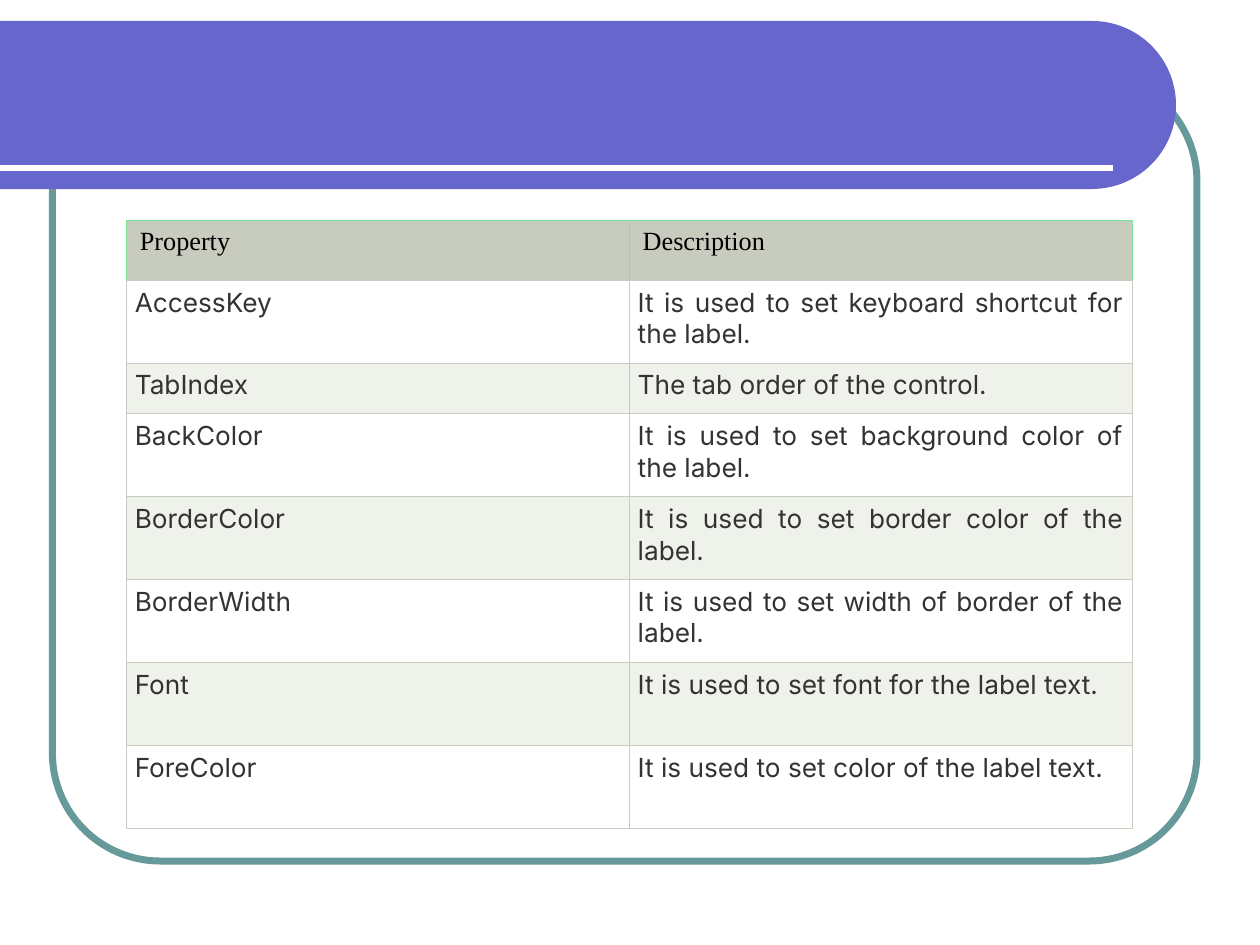
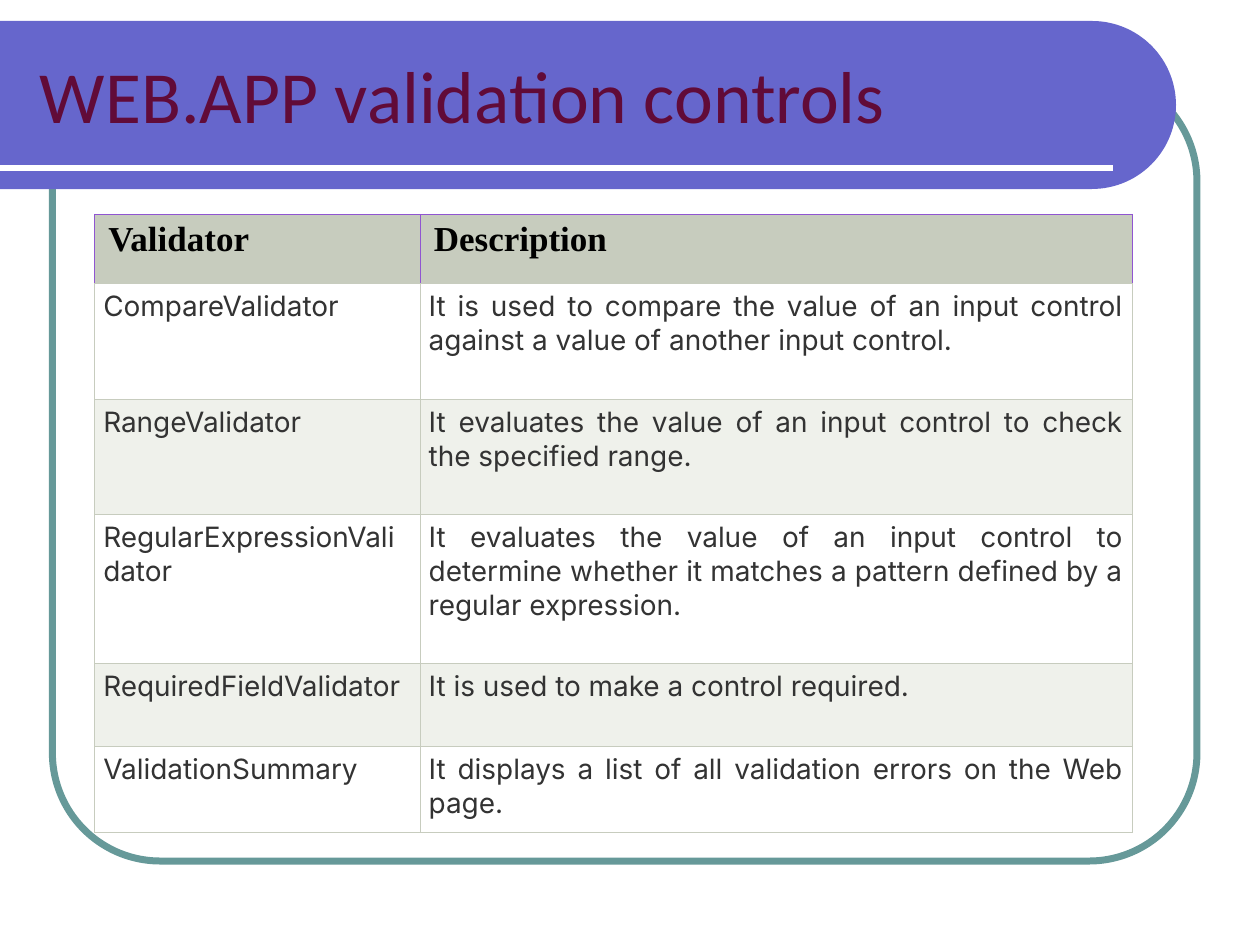
import math
from lxml import etree
from pptx import Presentation
from pptx.dml.color import RGBColor
from pptx.enum import shapes, text
from pptx.oxml import ns
from pptx.util import Inches, Pt

# Slide grid: 120 columns by 90 rows of square cells
COLUMNS, ROWS = 120, 90
CELL = Inches(10) / COLUMNS

WHITE = RGBColor(0xFF, 0xFF, 0xFF)
BLACK = RGBColor(0x00, 0x00, 0x00)
TEAL = RGBColor(0x66, 0x99, 0x99)
VIOLET = RGBColor(0x66, 0x66, 0xCC)
MAROON = RGBColor(0x61, 0x0B, 0x38)
BODY_GREY = RGBColor(0x33, 0x33, 0x33)
SAGE = RGBColor(0xC7, 0xCC, 0xBE)
PALE_SAGE = RGBColor(0xEF, 0xF1, 0xEB)
MINT = RGBColor(0x80, 0xE1, 0x99)
PURPLE = RGBColor(0x90, 0x55, 0xD1)

BORDER_WIDTH = Pt(0.34)
LABEL_PROPERTIES = [
    ("Property", "Description"),
    ("AccessKey", "It is used to set keyboard shortcut for the label."),
    ("TabIndex", "The tab order of the control."),
    ("BackColor", "It is used to set background color of the label."),
    ("BorderColor", "It is used to set border color of the label."),
    ("BorderWidth", "It is used to set width of border of the label."),
    ("Font", "It is used to set font for the label text."),
    ("ForeColor", "It is used to set color of the label text."),
]
VALIDATORS = [
    ("Validator", "Description"),
    ("CompareValidator", "It is used to compare the value of an input control "
     "against a value of another input control."),
    ("RangeValidator", "It evaluates the value of an input control to check "
     "the specified range."),
    ("RegularExpressionValidator", "It evaluates the value of an input control to "
     "determine whether it matches a pattern defined by a regular expression."),
    ("RequiredFieldValidator", "It is used to make a control required."),
    ("ValidationSummary", "It displays a list of all validation errors on the Web page."),
]


def grid(*cells):
    return [round(count * CELL) for count in cells]


def style_span(span, font, size, color, bold=False):
    span.font.name, span.font.size, span.font.bold = font, Pt(size), bold
    span.font.color.rgb = color


def add_frame(page):
    """Rounded outline, half-round title band and the rule inside the band."""
    outline = page.shapes.add_shape(
        shapes.MSO_SHAPE.ROUNDED_RECTANGLE, *grid(5, 7, 109, 75))
    outline.adjustments[0] = 0.137
    outline.shadow.inherit = False
    outline.fill.background()
    outline.line.color.rgb, outline.line.width = TEAL, Pt(4)

    # The right end of the band is a half circle
    top, radius, centre = 2, 8, 104
    angles = [math.radians(degree) for degree in range(-90, 91, 3)]
    arc = [grid(centre + radius * math.cos(angle), top + radius + radius * math.sin(angle))
           for angle in angles]
    builder = page.shapes.build_freeform(*grid(0, top))
    builder.add_line_segments(arc + [grid(0, top + 2 * radius)], close=True)
    band = builder.convert_to_shape()
    band.shadow.inherit = False
    band.fill.solid()
    band.fill.fore_color.rgb = VIOLET
    band.line.fill.background()

    rule = page.shapes.add_connector(shapes.MSO_CONNECTOR.STRAIGHT, *grid(0, 16, 106, 16))
    rule.line.color.rgb, rule.line.width = WHITE, Pt(3)
    etree.SubElement(rule.element.spPr, ns.qn("a:effectLst"))


def set_title(page, words):
    title = page.shapes.title
    title.left, title.top, title.width, title.height = grid(2.6, 3, 105.2, 12)
    frame = title.text_frame
    frame.text = words
    frame.auto_size = text.MSO_AUTO_SIZE.NONE
    frame.vertical_anchor = text.MSO_ANCHOR.MIDDLE
    para = frame.paragraphs[0]
    para.alignment = text.PP_ALIGN.LEFT
    style_span(para.runs[0], "Calibri", 42, MAROON)
    # Bring the title in front of the band
    page.shapes.element.append(title.element)


def set_borders(cell, side_color):
    properties = cell._tc.get_or_add_tcPr()
    sides = [("lnL", side_color), ("lnR", side_color), ("lnT", side_color), ("lnB", SAGE)]
    for position, (side, color) in enumerate(sides):
        line = etree.Element(ns.qn(f"a:{side}"), w=str(BORDER_WIDTH))
        fill = etree.SubElement(line, ns.qn("a:solidFill"))
        etree.SubElement(fill, ns.qn("a:srgbClr"), val=str(color))
        properties.insert(position, line)


def fill_cell(cell, words, fill, border, inset, alignment, **font):
    cell.text = words
    cell.margin_left = cell.margin_right = Inches(inset)
    cell.margin_top = cell.margin_bottom = Inches(0.05)
    cell.fill.solid()
    cell.fill.fore_color.rgb = fill
    para = cell.text_frame.paragraphs[0]
    para.alignment = alignment
    style_span(para.runs[0], **font)
    set_borders(cell, border)


def add_listing(page, entries, left, top, widths, heights, header_border, header_font, size):
    """Two-column table with a header row and alternating body rows."""
    table = page.shapes.add_table(
        len(entries), len(widths), *grid(left, top, sum(widths), sum(heights))).table
    table.first_row = table.horz_banding = False
    for column, width in zip(table.columns, grid(*widths)):
        column.width = width
    for row, height in zip(table.rows, grid(*heights)):
        row.height = height

    for index, entry in enumerate(entries):
        for column, words in enumerate(entry):
            cell = table.cell(index, column)
            if index == 0:
                fill_cell(cell, words, SAGE, header_border, 0.11, text.PP_ALIGN.LEFT,
                          font="Times New Roman", color=BLACK, **header_font)
            else:
                fill_cell(cell, words, WHITE if index % 2 else PALE_SAGE, SAGE, 0.07,
                          text.PP_ALIGN.JUSTIFY, font="Inter", color=BODY_GREY, size=size)


def main():
    deck = Presentation()
    deck.slide_width, deck.slide_height = grid(COLUMNS, ROWS)
    title_only, blank = deck.slide_layouts[5], deck.slide_layouts[6]

    # Label properties
    page = deck.slides.add_slide(blank)
    add_frame(page)
    add_listing(page, LABEL_PROPERTIES, 12, 21, [47.9] * 2, [5.7, 7.9, 4.8] + [7.9] * 5,
                MINT, {"size": 15}, size=15)

    # Validation controls
    page = deck.slides.add_slide(title_only)
    add_frame(page)
    set_title(page, "WEB.APP validation controls")
    add_listing(page, VALIDATORS, 9, 20.4, [31, 67.8], [6.6, 11, 11, 14.2, 7.9, 8.2],
                PURPLE, {"size": 20, "bold": True}, size=16)

    deck.save("out.pptx")


if __name__ == "__main__":
    main()
